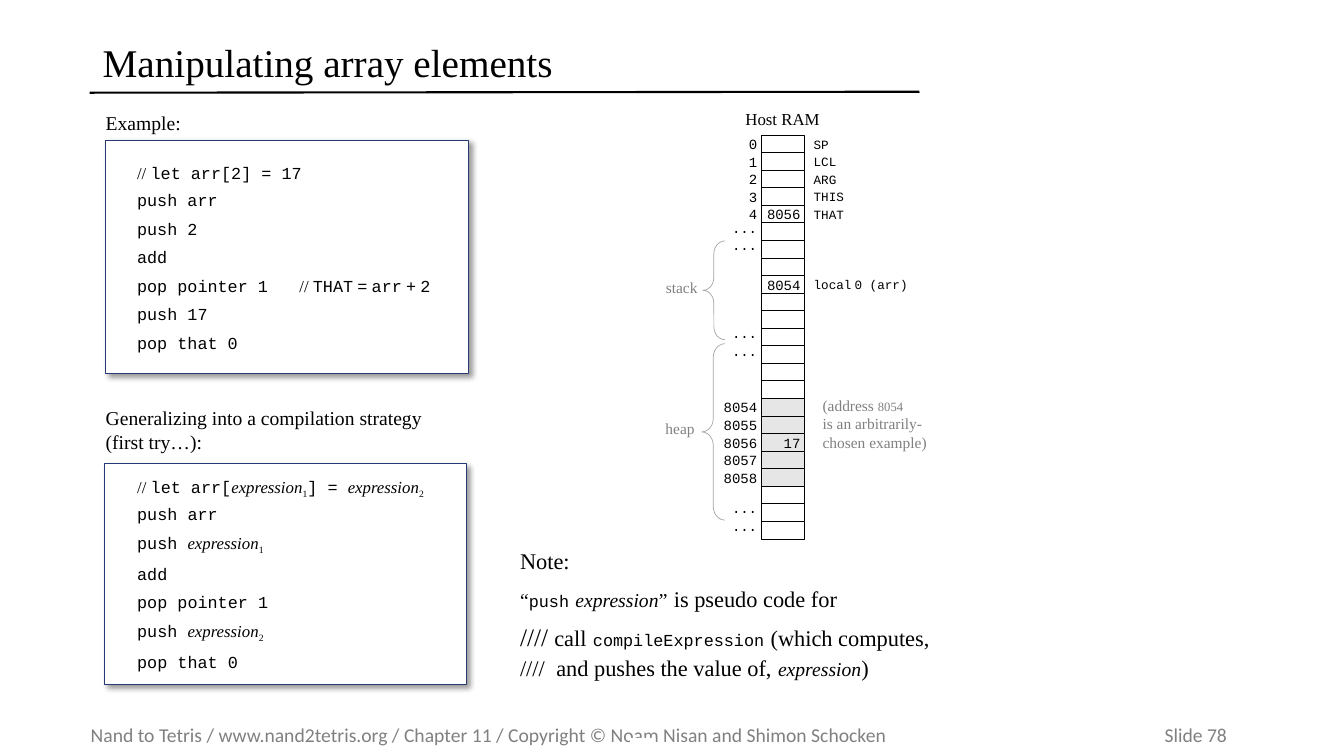
import dataclasses
import typing

import lxml.etree
import pptx
import pptx.dml.color
import pptx.enum.shapes
import pptx.enum.text
import pptx.oxml.ns
import pptx.util

Inches = pptx.util.Inches
Align = pptx.enum.text.PP_ALIGN
Anchor = pptx.enum.text.MSO_ANCHOR
Shape = pptx.enum.shapes.MSO_SHAPE


@dataclasses.dataclass(frozen=True)
class Theme:
    serif: str = "Times New Roman"
    mono: str = "Courier New"
    sans: str = "Calibri"
    ink: str = "000000"
    paper: str = "FFFFFF"
    muted: str = "808080"
    brace: str = "A6A6A6"
    heap_cell: str = "E7E6E6"
    frame: str = "293973"
    title: float = 28
    large: float = 18
    body: float = 16
    caption: float = 14
    code: float = 12
    group: float = 11
    cell: float = 10
    name: float = 9


THEME = Theme()


@dataclasses.dataclass(frozen=True)
class Span:
    text: str
    size: float = THEME.code
    font: str = THEME.serif
    color: str = THEME.ink
    italic: bool = False
    subscript: bool = False


@dataclasses.dataclass(frozen=True)
class Para:
    spans: list[Span]
    before: float = 0
    line: typing.Optional[float] = None
    tab: typing.Optional[float] = None


@dataclasses.dataclass(frozen=True)
class Label:
    """A text area: place is left, top, width, height in inches."""
    place: tuple[float, float, float, float]
    paras: list[Para]
    align: Align = Align.LEFT
    anchor: Anchor = Anchor.TOP
    insets: tuple[float, float, float, float] = (0.1, 0.05, 0.1, 0.05)


def rgb(color: str) -> pptx.dml.color.RGBColor:
    return pptx.dml.color.RGBColor.from_string(color)


def mono(text: str, size: float = THEME.code) -> Span:
    return Span(text, size, THEME.mono)


def expression(index: int) -> list[Span]:
    return [Span("expression", italic=True), Span(str(index), subscript=True)]


def write(shape, label: Label) -> None:
    frame = shape.text_frame
    frame.word_wrap = True
    frame.vertical_anchor = label.anchor
    frame.margin_left, frame.margin_top, frame.margin_right, frame.margin_bottom = map(Inches, label.insets)
    for number, item in enumerate(label.paras):
        para = frame.add_paragraph() if number else frame.paragraphs[0]
        para.alignment = label.align
        if item.before:
            para.space_before = pptx.util.Pt(item.before)
        if item.line:
            para.line_spacing = item.line
        if item.tab:
            tabs = lxml.etree.SubElement(para._p.get_or_add_pPr(), pptx.oxml.ns.qn("a:tabLst"))
            lxml.etree.SubElement(tabs, pptx.oxml.ns.qn("a:tab"), pos=str(Inches(item.tab)), algn="l")
        for span in item.spans:
            if span.text == "\n":
                para.add_line_break()
                continue
            run = para.add_run()
            run.text = span.text
            run.font.name = span.font
            run.font.size = pptx.util.Pt(span.size)
            run.font.italic = span.italic
            run.font.color.rgb = rgb(span.color)
            if span.subscript:
                run._r.get_or_add_rPr().set("baseline", "-25000")


def add_label(page, label: Label) -> None:
    write(page.shapes.add_textbox(*map(Inches, label.place)), label)


def add_outline(page, kind: Shape, place: tuple[float, ...], fill: typing.Optional[str],
                line: typing.Optional[str], width: float = 0.5):
    shape = page.shapes.add_shape(kind, *map(Inches, place))
    shape.shadow.inherit = False
    if fill:
        shape.fill.solid()
        shape.fill.fore_color.rgb = rgb(fill)
    else:
        shape.fill.background()
    if line:
        shape.line.color.rgb = rgb(line)
        shape.line.width = pptx.util.Pt(width)
    else:
        shape.line.fill.background()
    return shape


def add_code_box(page, place: tuple[float, ...], insets: tuple[float, ...], lines: list[list[Span]]) -> None:
    box = add_outline(page, Shape.RECTANGLE, place, THEME.paper, THEME.frame, 0.75)
    effects = box._element.spPr.find(pptx.oxml.ns.qn("a:effectLst"))
    shadow = lxml.etree.SubElement(effects, pptx.oxml.ns.qn("a:outerShdw"), blurRad="50800",
                                   dist="38100", dir="2700000", algn="tl", rotWithShape="0")
    tint = lxml.etree.SubElement(shadow, pptx.oxml.ns.qn("a:srgbClr"), val=THEME.ink)
    lxml.etree.SubElement(tint, pptx.oxml.ns.qn("a:alpha"), val="40000")
    paras = [Para(spans, before=6 if number else 0, line=None if number else 0.5, tab=1.61)
             for number, spans in enumerate(lines)]
    write(box, Label(place, paras, Align.JUSTIFY, insets=insets))


CELL_WIDTH, CELL_HEIGHT, CELL_PITCH = 0.43, 0.18, 3.83 / 22
RAM_LEFT, RAM_TOP, ROWS = 7.55, 1.34, 23
HEAP_ROWS = range(15, 20)
CELL_VALUES = {4: "8056", 8: "8054", 17: "17"}
ADDRESSES = {row: str(row) for row in range(5)}
ADDRESSES |= {row: str(8054 + row - HEAP_ROWS.start) for row in HEAP_ROWS}
ADDRESSES |= dict.fromkeys((5, 6, 11, 12, 21, 22), "...")
REGISTERS = dict(enumerate(["SP", "LCL", "ARG", "THIS", "THAT"]))


def add_cell(page, place: tuple[float, ...], spans: list[Span], align: Align = Align.RIGHT,
             anchor: Anchor = Anchor.MIDDLE, fill: str = THEME.paper,
             line: typing.Optional[str] = None) -> None:
    cell = add_outline(page, Shape.RECTANGLE, place, fill, line)
    if spans:
        write(cell, Label(place, [Para(spans)], align, anchor, (0, 0.05, 0.04, 0.05)))


def add_ram(page) -> None:
    """Draw the memory column with its addresses, values and register names."""
    tops = [RAM_TOP + row * CELL_PITCH for row in range(ROWS)]
    for row, address in sorted(ADDRESSES.items()):
        add_cell(page, (RAM_LEFT - CELL_WIDTH, tops[row], CELL_WIDTH, CELL_HEIGHT),
                 [mono(address, THEME.cell)], anchor=Anchor.BOTTOM if address == "..." else Anchor.MIDDLE)
    for row, top in enumerate(tops):
        spans = [mono(CELL_VALUES[row], THEME.cell)] if row in CELL_VALUES else []
        add_cell(page, (RAM_LEFT, top, CELL_WIDTH, CELL_HEIGHT), spans,
                 fill=THEME.heap_cell if row in HEAP_ROWS else THEME.paper, line=THEME.ink)
    for row, register in REGISTERS.items():
        add_cell(page, (8.07, tops[row], CELL_WIDTH, CELL_HEIGHT), [mono(register, THEME.name)], Align.LEFT)
    local = [mono("local", THEME.name), Span(" ", THEME.name), mono("0 (arr)", THEME.name)]
    add_cell(page, (8.07, 2.72, 1.13, 0.2), local, Align.LEFT)
    add_cell(page, (6.85, 1.09, 1.32, 0.18), [Span("Host RAM")])
    for text, left, top, brace in (("stack", 6.53, 2.76, (6.97, 2.39, 0.22, 0.98)),
                                   ("heap", 6.5, 4.16, (6.96, 3.41, 0.23, 1.75))):
        add_outline(page, Shape.LEFT_BRACE, brace, None, THEME.brace).adjustments[0] = 0.58
        add_cell(page, (left, top, CELL_WIDTH, CELL_HEIGHT), [Span(text, THEME.group, color=THEME.muted)])


def main() -> None:
    deck = pptx.Presentation()
    deck.slide_width, deck.slide_height = Inches(13.33), Inches(7.5)
    page = deck.slides.add_slide(deck.slide_layouts[6])

    footer = "Nand to Tetris / www.nand2tetris.org / Chapter 11 / Copyright © Noam Nisan and Shimon Schocken\tSlide 78"
    add_label(page, Label((0.9, 7.12, 12.25, 0.34),
                          [Para([Span(footer, THEME.caption, THEME.sans, THEME.muted)], tab=10.65)],
                          anchor=Anchor.MIDDLE, insets=(0, 0.05, 0, 0.05)))
    add_outline(page, Shape.RECTANGLE, (6.25, 7.32, 0.25, 0.17), THEME.paper, None)
    rule = page.shapes.add_connector(pptx.enum.shapes.MSO_CONNECTOR.STRAIGHT,
                                     Inches(0.89), Inches(0.92), Inches(9.12), Inches(0.91))
    rule.line.color.rgb = rgb(THEME.ink)
    rule.line.width = pptx.util.Pt(1.5)
    lxml.etree.SubElement(rule._element.spPr, pptx.oxml.ns.qn("a:effectLst"))
    add_label(page, Label((0.92, 0.33, 8.53, 0.63),
                          [Para([Span("Manipulating array elements", THEME.title)], line=0.9)],
                          anchor=Anchor.MIDDLE))

    add_label(page, Label((0.95, 1.05, 4.26, 0.34), [Para([Span("Example:", THEME.caption)])]))
    comment = [mono("THAT"), Span(" "), mono("="), Span(" "), mono("arr"), Span(" "),
               mono("+"), Span(" "), mono("2")]
    add_code_box(page, (1.05, 1.39, 3.6, 2.32), (0.31, 0.31, 0, 0.21), [
        [Span("// "), mono("let arr[2] = 17")], [mono("push arr")], [mono("push 2")], [mono("add")],
        [mono("pop pointer 1"), Span("\t// "), *comment], [mono("push 17")], [mono("pop that 0")]])

    add_ram(page)
    remark = [Span(text, size, color=THEME.muted) for text, size in (
        ("(address ", THEME.group), ("8054", THEME.name), ("\n", THEME.name),
        ("is an arbitrarily-chosen example)", THEME.group))]
    add_label(page, Label((8.06, 3.88, 1.32, 0.66), [Para(remark)]))

    add_code_box(page, (1.04, 4.6, 3.59, 2.19), (0.32, 0.2, 0, 0.21), [
        [Span("// "), mono("let arr["), *expression(1), mono("] = "), *expression(2)],
        [mono("push arr")], [mono("push "), *expression(1)], [mono("add")], [mono("pop pointer 1")],
        [mono("push "), *expression(2)], [mono("pop that 0")]])
    strategy = [Span("Generalizing into a compilation strategy", THEME.caption), Span("\n"),
                Span("(first try…):", THEME.caption)]
    add_label(page, Label((0.95, 3.98, 4.26, 0.57), [Para(strategy)]))

    gap = Span(" ", THEME.large)
    term = Span("expression", THEME.caption, italic=True)
    add_label(page, Label((5.06, 5.38, 7.34, 1.48), [
        Para([Span("Note:", THEME.body)]),
        Para([Span("“", THEME.caption), mono("push"), gap, term, Span("”", THEME.caption), gap,
              Span("is pseudo code for", THEME.body)], before=6),
        Para([Span("//// ", THEME.large), Span("call", THEME.body), gap, mono("compileExpression"), gap,
              Span("(which computes,", THEME.body)], before=6),
        Para([Span("////\tand pushes the value of,", THEME.body), gap, term, Span(")", THEME.body)],
             tab=0.36)]))
    deck.save("out.pptx")


if __name__ == "__main__":
    main()
